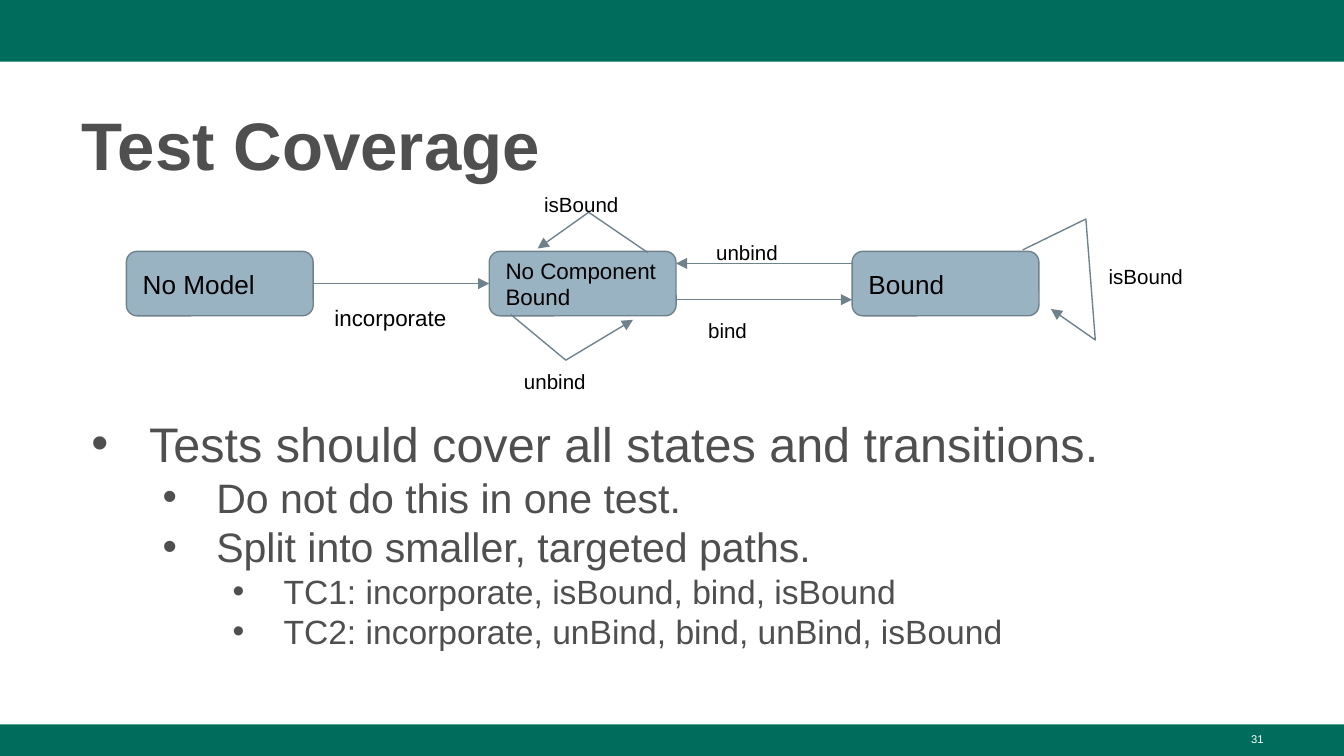
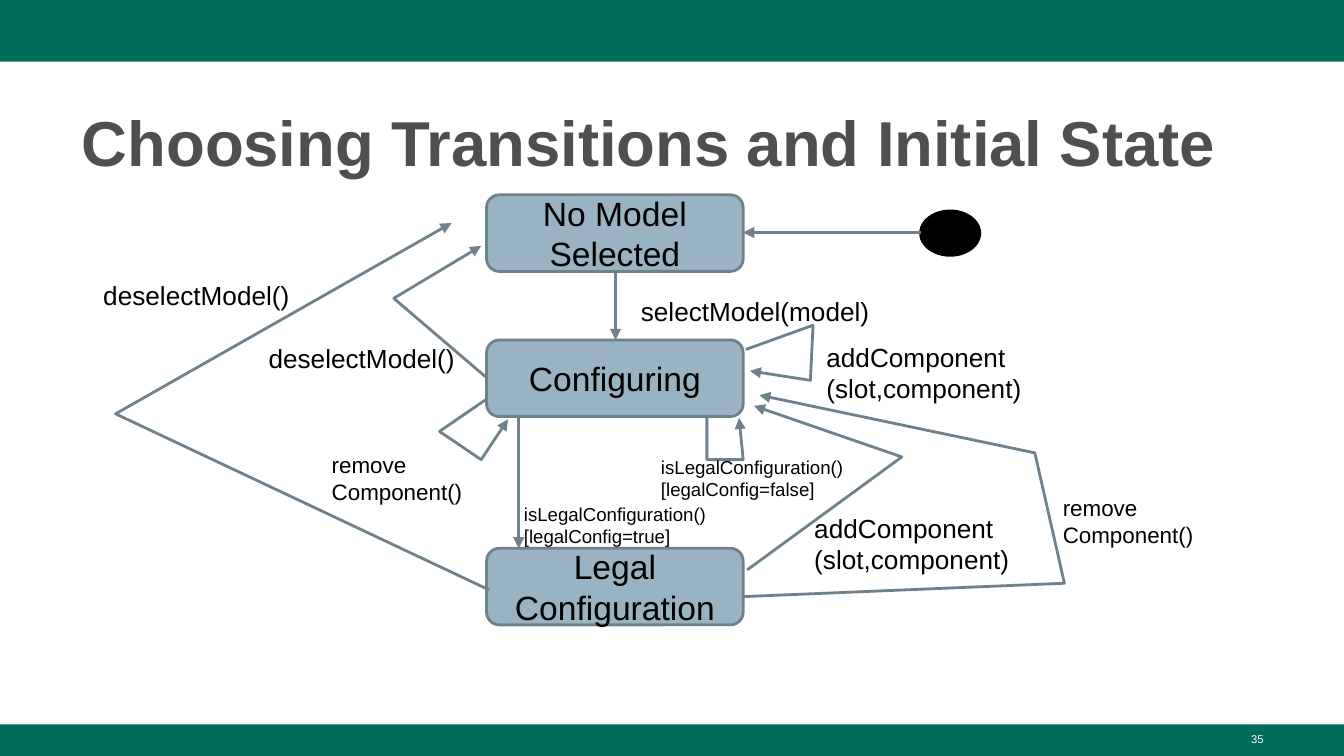
"""Build two slides on state-machine testing."""
from lxml.etree import SubElement
from pptx import Presentation
from pptx.dml.color import RGBColor
from pptx.enum.shapes import MSO_CONNECTOR, MSO_SHAPE
from pptx.enum.text import MSO_ANCHOR, MSO_AUTO_SIZE, PP_ALIGN
from pptx.oxml.ns import qn
from pptx.util import Inches, Pt

FONT = "Arial"
COLORS = {"band": "006C5C", "text": "4F4F4F", "state": "99B3C2",
          "line": "6F828C", "black": "000000", "white": "FFFFFF"}
COLS, ROWS = 100, 56.25
LEFT, WIDTH = 5.1, 89.9
LEVELS = [(26, 0.5, -0.43, 6), (22, 1, -0.4, 0), (18, 1.5, -0.38, 0)]


def cells(*values):
    return [Inches(v / 10) for v in values]


def color(name):
    return RGBColor.from_string(COLORS[name])


def format_runs(p, size, name="black", bold=False):
    for r in p.runs:
        r.font.name, r.font.size, r.font.bold = FONT, Pt(size), bold
        r.font.color.rgb = color(name)


def set_frame(tf, anchor=MSO_ANCHOR.TOP, pad=1):
    tf.word_wrap, tf.auto_size = True, MSO_AUTO_SIZE.NONE
    tf.vertical_anchor = anchor
    tf.margin_left = tf.margin_right = Inches(0.1)
    tf.margin_top = tf.margin_bottom = Inches(pad / 10)


def place(sp, *box):
    sp.left, sp.top, sp.width, sp.height = cells(*box)


def add_title(slide, text, size):
    sp = slide.shapes.title
    place(sp, LEFT, 6.7, WIDTH, 7.3)
    set_frame(sp.text_frame, pad=0.5)
    p = sp.text_frame.paragraphs[0]
    p.text, p.alignment, p.line_spacing = text, PP_ALIGN.LEFT, 1.08
    format_runs(p, size, "text", True)


def add_bullets(slide, items):
    sp = slide.placeholders[1]
    place(sp, LEFT, 30.3, WIDTH, 21.8)
    tf = sp.text_frame
    set_frame(tf, pad=0.5)
    tf.text = "\n".join(text for _, text in items)
    for p, (level, _) in zip(tf.paragraphs, items):
        size, margin, indent, before = LEVELS[level]
        p.level, p.space_before = level, Pt(before)
        format_runs(p, size, "text")
        pPr = p._p.get_or_add_pPr()
        pPr.set("marL", str(Inches(margin)))
        pPr.set("indent", str(Inches(indent)))
        clr = SubElement(pPr, qn("a:buClr"))
        SubElement(clr, qn("a:srgbClr")).set("val", COLORS["text"])
        SubElement(pPr, qn("a:buFont")).set("typeface", FONT)
        SubElement(pPr, qn("a:buChar")).set("char", "•")


def add_shape(slide, kind, box, fill, line=None, weight=1.5):
    sp = slide.shapes.add_shape(kind, *cells(*box))
    sp.shadow.inherit = False
    sp.fill.solid()
    sp.fill.fore_color.rgb = color(fill)
    if line:
        sp.line.color.rgb, sp.line.width = color(line), Pt(weight)
    else:
        sp.line.fill.background()
    return sp


def add_state(slide, text, box, size, weight, align=PP_ALIGN.LEFT):
    sp = add_shape(slide, MSO_SHAPE.ROUNDED_RECTANGLE, box, "state", "line", weight)
    set_frame(sp.text_frame, MSO_ANCHOR.MIDDLE)
    p = sp.text_frame.paragraphs[0]
    p.text, p.alignment = text, align
    format_runs(p, size)


def add_label(slide, text, x, y, w, h, size, name="black", align=PP_ALIGN.LEFT, pad=1):
    tf = slide.shapes.add_textbox(*cells(x, y, w, h)).text_frame
    set_frame(tf, pad=pad)
    p = tf.paragraphs[0]
    p.text, p.alignment = text, align
    format_runs(p, size, name)


def add_arrow(slide, points, weight):
    """Draw a straight connector for two points, an open outline for more."""
    ends = [cells(*point) for point in points]
    if len(ends) == 2:
        sp = slide.shapes.add_connector(MSO_CONNECTOR.STRAIGHT, *ends[0], *ends[1])
    else:
        builder = slide.shapes.build_freeform(*ends[0])
        builder.add_line_segments(ends[1:], close=False)
        sp = builder.convert_to_shape()
        sp.fill.background()
    sp.line.color.rgb, sp.line.width = color("line"), Pt(weight)
    SubElement(sp.line._get_or_add_ln(), qn("a:tailEnd")).set("type", "triangle")
    SubElement(sp._element.spPr, qn("a:effectLst"))


def add_number(slide, number):
    add_label(slide, number, 71.7, 54, 23.3, 2.3, 6, "white", PP_ALIGN.RIGHT, 0.5)


def add_master_bands(prs, slide):
    tree = prs.slide_master.shapes._spTree
    for y, height in [(0, 4.6), (53.9, ROWS - 53.9)]:
        sp = add_shape(slide, MSO_SHAPE.RECTANGLE, (0, y, COLS, height), "band")
        tree.insert(2, sp._element)


def build_coverage(slide):
    add_title(slide, "Test Coverage", 36)
    add_bullets(slide, [
        (0, "Tests should cover all states and transitions."),
        (1, "Do not do this in one test. "),
        (1, "Split into smaller, targeted paths."),
        (2, "TC1: incorporate, isBound, bind, isBound"),
        (2, "TC2: incorporate, unBind, bind, unBind, isBound")])
    states = [("No Model", 14), ("No Component Bound", 12), ("Bound", 14)]
    for i, (text, size) in enumerate(states):
        add_state(slide, text, (9.4 + 27 * i, 18.7, 13.9, 4.8), size, 0.75)
    for points in [
            [(23.3, 21.1), (36.4, 21.1)],
            [(50.3, 22.3), (63.4, 22.3)],
            [(63.4, 19.6), (50.3, 19.6)],
            [(38, 23.4), (42.1, 26.8), (47.1, 23.8)],
            [(48.2, 18.8), (43.8, 15.8), (40, 18.5)],
            [(76.1, 18.6), (80.8, 16.3), (81.5, 25.3), (78.2, 23)]]:
        add_arrow(slide, points, 0.75)
    add_label(slide, "incorporate", 23.9, 21.8, 10.6, 1.7, 12)
    for text, x, y in [("bind", 51.7, 22.8), ("unbind", 52.3, 17),
                       ("unbind", 38, 26.6), ("isBound", 39.5, 13.4),
                       ("isBound", 81.5, 18.8)]:
        add_label(slide, text, x, y, 9.1, 1.7, 11)
    add_number(slide, "31")


def build_transitions(slide):
    add_title(slide, "Choosing Transitions and Initial State", 34)
    for text, y in [("No Model Selected", 14.5), ("Configuring", 25.3),
                    ("Legal Configuration", 40.8)]:
        add_state(slide, text, (36.2, y, 19.1, 5.7), 18, 1.5, PP_ALIGN.CENTER)
    add_shape(slide, MSO_SHAPE.OVAL, (68.5, 15.7, 4.4, 3.3), "black", "black")
    for points in [
            [(68.5, 17.3), (55.3, 17.3)],
            [(45.8, 20.2), (45.8, 25.3)],
            [(38.6, 31), (38.6, 40.8)],
            [(36.2, 28.1), (29.3, 22.2), (35.8, 18.3)],
            [(36.4, 43.9), (8.6, 30.8), (33.6, 16.6)],
            [(55.5, 26), (60.5, 24.2), (60.3, 28.3), (55.8, 27.6)],
            [(55.6, 42.4), (67.1, 34), (56.1, 30.2)],
            [(55.2, 44.4), (79.2, 43.4), (77, 33.7), (56.5, 29.4)],
            [(36.2, 29.7), (32.7, 32.1), (35.8, 34.2), (37.8, 31.2)],
            [(52.6, 31), (52.6, 34.2), (55.3, 34.2), (55, 31.1)]]:
        add_arrow(slide, points, 1.5)
    add_component = "addComponent\v(slot,component)"
    remove_component = "remove\vComponent()"
    for text, x, y, w, size in [
            ("selectModel(model)", 46.7, 21, 19.6, 14),
            ("deselectModel()", 19, 24.5, 19.6, 14),
            ("deselectModel()", 6.7, 19.8, 19.6, 14),
            (add_component, 60.5, 24.4, 17.2, 14),
            (add_component, 59.6, 37.1, 17.2, 14),
            (remove_component, 23.7, 32.6, 18, 12),
            (remove_component, 78.1, 35.8, 18, 12),
            ("isLegalConfiguration() [legalConfig=true]", 38, 36.4, 16, 10),
            ("isLegalConfiguration() [legalConfig=false]", 48.2, 32.9, 19.6, 10)]:
        add_label(slide, text, x, y, w, 2.2, size)
    add_number(slide, "35")


def main():
    prs = Presentation()
    prs.slide_width, prs.slide_height = cells(COLS, ROWS)
    coverage = prs.slides.add_slide(prs.slide_layouts[1])
    transitions = prs.slides.add_slide(prs.slide_layouts[5])
    add_master_bands(prs, coverage)
    build_coverage(coverage)
    build_transitions(transitions)
    prs.save("out.pptx")


main()
